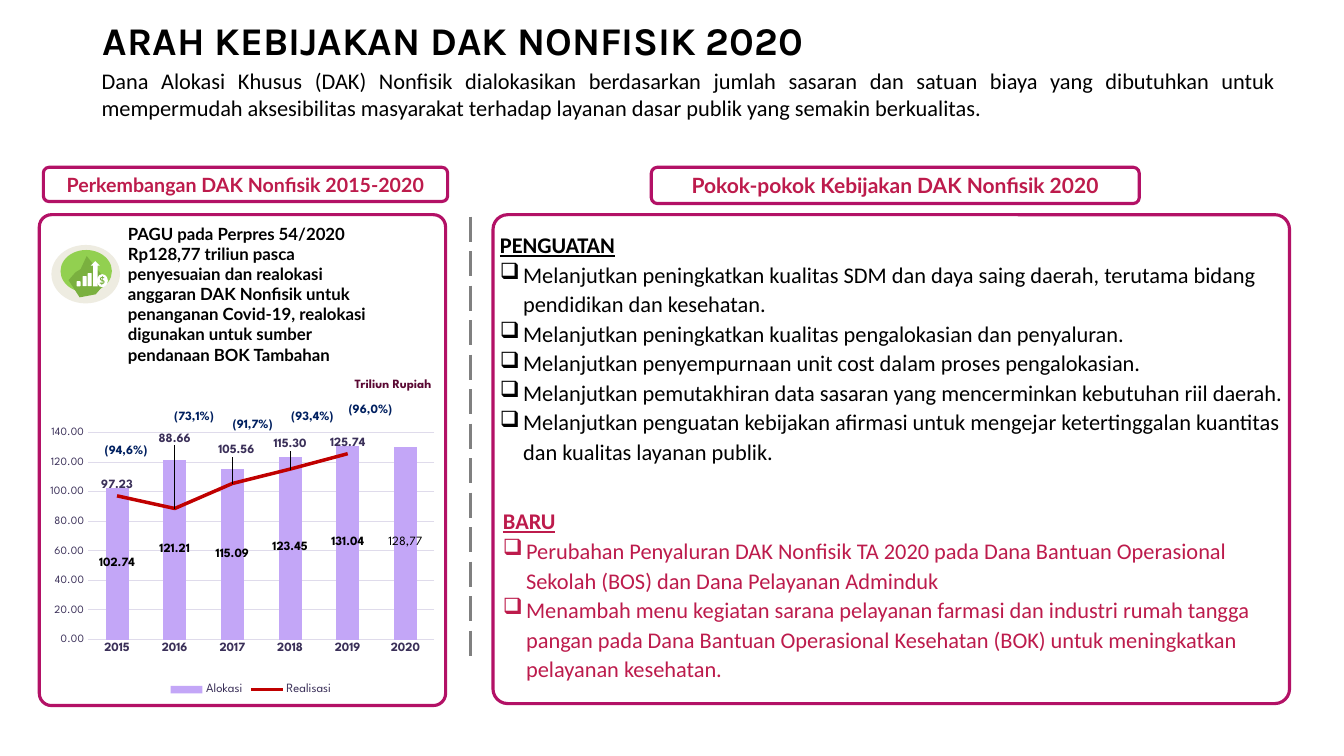
from pptx import Presentation
from pptx.chart.data import CategoryChartData
from pptx.dml.color import RGBColor
from pptx.enum.chart import XL_CHART_TYPE, XL_LABEL_POSITION, XL_LEGEND_POSITION, XL_TICK_MARK
from pptx.enum.dml import MSO_LINE
from pptx.enum.shapes import MSO_CONNECTOR, MSO_SHAPE
from pptx.enum.text import MSO_ANCHOR, PP_ALIGN
from pptx.oxml import parse_xml
from pptx.oxml.ns import nsdecls, qn
from pptx.util import Inches, Pt
from lxml import etree

BLACK = RGBColor(0x00, 0x00, 0x00)
WHITE = RGBColor(0xFF, 0xFF, 0xFF)
CRIMSON = RGBColor(0xBD, 0x1B, 0x4C)
MAGENTA = RGBColor(0xB3, 0x11, 0x66)
GRAY = RGBColor(0x80, 0x80, 0x80)
CREAM = RGBColor(0xEE, 0xEC, 0xE1)
GREEN = RGBColor(0x92, 0xD0, 0x50)
DARK_GREEN = RGBColor(0x7A, 0xB0, 0x3F)
WINE = RGBColor(0x5A, 0x08, 0x33)
NAVY = RGBColor(0x00, 0x20, 0x60)
INDIGO = RGBColor(0x3B, 0x30, 0x59)
LAVENDER = RGBColor(0xC3, 0xA6, 0xF7)
GRID = RGBColor(0xDF, 0xDB, 0xEB)
RED = RGBColor(0xC0, 0x00, 0x00)
MIDDLE, TOP = MSO_ANCHOR.MIDDLE, MSO_ANCHOR.TOP
LEFT, CENTER, JUSTIFY = PP_ALIGN.LEFT, PP_ALIGN.CENTER, PP_ALIGN.JUSTIFY
ROUNDED, OVAL = MSO_SHAPE.ROUNDED_RECTANGLE, MSO_SHAPE.OVAL
CHART_FONT = "League Spartan"


def write(shape, text, name, size, color, bold=True, align=LEFT, anchor=TOP, wrap=True, insets=(0.1, 0.05)):
    frame = shape.text_frame
    margin_x, margin_y = (Inches(inset) for inset in insets)
    settings = {"word_wrap": wrap, "vertical_anchor": anchor, "margin_left": margin_x,
                "margin_right": margin_x, "margin_top": margin_y, "margin_bottom": margin_y}
    for key, value in settings.items():
        setattr(frame, key, value)
    paragraph = frame.paragraphs[0]
    paragraph.text = text
    paragraph.alignment = align
    for key, value in {"name": name, "size": Pt(size), "bold": bold}.items():
        setattr(paragraph.font, key, value)
    paragraph.font.color.rgb = color
    return paragraph


def add_block(kind, place, fill=None, line=None):
    shape = slide.shapes.add_shape(kind, *map(Inches, place))
    shape.shadow.inherit = False
    if fill is None:
        shape.fill.background()
    else:
        shape.fill.solid()
        shape.fill.fore_color.rgb = fill
    if line is None:
        shape.line.fill.background()
    else:
        shape.line.color.rgb = line
        shape.line.width = Pt(2.25)
    return shape


presentation = Presentation()
presentation.slide_width = Inches(13.33)
presentation.slide_height = Inches(7.5)
slide = presentation.slides.add_slide(presentation.slide_layouts[5])

title = slide.shapes.title
title.left, title.top, title.width, title.height = map(Inches, (0.95, 0.1, 12.65, 0.65))
write(title, "ARAH KEBIJAKAN DAK NONFISIK 2020", "Karla", 28, BLACK, anchor=MIDDLE,
      insets=(0.07, 0.04)).line_spacing = 0.9

intro = slide.shapes.add_textbox(*map(Inches, (0.91, 0.62, 11.84, 0.64)))
write(intro, "Dana Alokasi Khusus (DAK) Nonfisik dialokasikan berdasarkan jumlah sasaran dan satuan biaya "
      "yang dibutuhkan untuk mempermudah aksesibilitas masyarakat terhadap layanan dasar publik yang "
      "semakin berkualitas.", "Calibri", 16, BLACK, bold=False, align=JUSTIFY)

divider = slide.shapes.add_connector(MSO_CONNECTOR.STRAIGHT, *map(Inches, (4.67, 2.15, 4.67, 6.55)))
divider.line.color.rgb = GRAY
divider.line.width = Pt(2.25)
divider.line.dash_style = MSO_LINE.LONG_DASH
etree.SubElement(divider._element.spPr, qn("a:effectLst"))

for place, radius in [((0.39, 2.13, 4.03, 4.87), 0.03), ((4.89, 2.13, 7.9, 4.85), 0.03)]:
    add_block(ROUNDED, place, line=MAGENTA).adjustments[0] = radius

headers = [((0.43, 1.66, 4.01, 0.34), "Perkembangan DAK Nonfisik 2015-2020", 14),
           ((6.46, 1.66, 4.84, 0.36), "Pokok-pokok Kebijakan DAK Nonfisik 2020", 15)]
for place, text, size in headers:
    header = add_block(ROUNDED, place, WHITE, MAGENTA)
    write(header, text, "Lato", size, CRIMSON, align=CENTER, anchor=MIDDLE, insets=(0.07, 0.04))

policies = [
    ((4.86, 2.22, 8.15, 2.47), BLACK, "PENGUATAN", [
        "Melanjutkan peningkatkan kualitas SDM dan daya saing daerah, terutama bidang pendidikan dan kesehatan.",
        "Melanjutkan peningkatkan kualitas pengalokasian dan penyaluran.",
        "Melanjutkan penyempurnaan unit cost dalam proses pengalokasian.",
        "Melanjutkan pemutakhiran data sasaran yang mencerminkan kebutuhan riil daerah.",
        "Melanjutkan penguatan kebijakan afirmasi untuk mengejar ketertinggalan kuantitas dan kualitas "
        "layanan publik."]),
    ((4.89, 4.96, 8.09, 1.88), CRIMSON, "BARU", [
        "Perubahan Penyaluran DAK Nonfisik TA 2020 pada Dana Bantuan Operasional Sekolah (BOS) dan Dana "
        "Pelayanan Adminduk",
        "Menambah menu kegiatan sarana pelayanan farmasi dan industri rumah tangga pangan pada Dana Bantuan "
        "Operasional Kesehatan (BOK) untuk meningkatkan pelayanan kesehatan."])]
for place, color, heading, items in policies:
    policy = slide.shapes.add_textbox(*map(Inches, place))
    paragraph = write(policy, heading, "Calibri", 16, color)
    paragraph.font.underline = True
    paragraph.line_spacing = 1.1
    for item in items:
        paragraph = policy.text_frame.add_paragraph()
        paragraph.text = item
        paragraph.line_spacing = 1.1
        properties = paragraph._p.get_or_add_pPr()
        properties.set("marL", str(Inches(0.23)))
        properties.set("indent", str(-Inches(0.23)))
        etree.SubElement(properties, qn("a:buChar")).set("char", "❑")
        for key, value in {"name": "Calibri", "size": Pt(16)}.items():
            setattr(paragraph.font, key, value)
        paragraph.font.color.rgb = color

add_block(OVAL, (0.51, 2.43, 0.68, 0.58), CREAM)
add_block(OVAL, (0.6, 2.48, 0.51, 0.42), GREEN)
builder = slide.shapes.build_freeform(Inches(0.86), Inches(2.54))
mountain_points = [(1.06, 2.79), (0.95, 2.92), (0.79, 2.95), (0.68, 2.78), (0.75, 2.7), (0.8, 2.67)]
builder.add_line_segments([(Inches(x), Inches(y)) for x, y in mountain_points])
mountain = builder.convert_to_shape()
mountain.shadow.inherit = False
mountain.fill.solid()
mountain.fill.fore_color.rgb = DARK_GREEN
mountain.line.fill.background()
for left, height in [(0.76, 0.05), (0.82, 0.1), (0.87, 0.13)]:
    add_block(ROUNDED, (left, 2.84 - height, 0.04, height), WHITE)
add_block(MSO_SHAPE.UP_ARROW, (0.9, 2.59, 0.09, 0.25), WHITE)
coin = add_block(OVAL, (0.96, 2.72, 0.11, 0.13), WHITE)
write(coin, "$", "Lato", 7, DARK_GREEN, align=CENTER, anchor=MIDDLE, wrap=False, insets=(0, 0))

ceiling = slide.shapes.add_textbox(*map(Inches, (1.17, 2.71, 2.8, 0.41)))
write(ceiling, "PAGU pada Perpres 54/2020 Rp128,77 triliun pasca penyesuaian dan realokasi anggaran DAK "
      "Nonfisik untuk penanganan Covid-19, realokasi digunakan untuk sumber pendanaan BOK Tambahan",
      "Lato", 12, BLACK, anchor=MIDDLE)

data = CategoryChartData(number_format="0.00")
data.categories = ["2015", "2016", "2017", "2018", "2019", "2020"]
data.add_series("Alokasi", [102.74, 121.21, 115.09, 123.45, 131.04, 130.57])
data.add_series("Realisasi", [97.23, 88.66, 105.56, 115.30, 125.74, None])
chart = slide.shapes.add_chart(XL_CHART_TYPE.COLUMN_CLUSTERED, *map(Inches, (0.5, 4.15, 3.97, 2.79)), data).chart
chart.has_title = False
chart.has_legend = True
chart.legend.position = XL_LEGEND_POSITION.BOTTOM
chart.legend.include_in_layout = False
chart.plots[0].gap_width = 150
chart.plots[0].vary_by_categories = False

bar_chart = chart._chartSpace.xpath("//c:barChart")[0]
line_series = bar_chart.findall(qn("c:ser"))[1]
for element in line_series.findall(qn("c:invertIfNegative")):
    line_series.remove(element)
line_chart = parse_xml(f'<c:lineChart {nsdecls("c")}><c:grouping val="standard"/><c:varyColors val="0"/></c:lineChart>')
line_chart.append(line_series)
etree.SubElement(line_chart, qn("c:marker")).set("val", "1")
for axis_id in bar_chart.findall(qn("c:axId")):
    etree.SubElement(line_chart, qn("c:axId")).set("val", axis_id.get("val"))
bar_chart.addnext(line_chart)

plot_area = bar_chart.getparent()
for element in plot_area.findall(qn("c:layout")):
    plot_area.remove(element)
plot_area.insert(0, parse_xml(
    f'<c:layout {nsdecls("c")}><c:manualLayout><c:layoutTarget val="inner"/><c:xMode val="edge"/>'
    '<c:yMode val="edge"/><c:x val="0.093"/><c:y val="0.051"/><c:w val="0.866"/><c:h val="0.736"/>'
    '</c:manualLayout></c:layout>'))

allocation, realization = (plot.series[0] for plot in chart.plots)
allocation.format.fill.solid()
allocation.format.fill.fore_color.rgb = LAVENDER
realization.smooth = False
realization.format.line.color.rgb = RED
realization.format.line.width = Pt(2.5)
realization.marker.style = None
etree.SubElement(realization._element.find(qn("c:marker")), qn("c:symbol")).set("val", "none")

labels = [(allocation.data_labels, XL_LABEL_POSITION.CENTER, BLACK),
          (realization.data_labels, XL_LABEL_POSITION.ABOVE, INDIGO)]
label_fonts = [(chart.font, 9, False, BLACK), (chart.legend.font, 9, False, INDIGO),
               (chart.category_axis.tick_labels.font, 9, True, INDIGO),
               (chart.value_axis.tick_labels.font, 8, False, INDIGO)]
for label, position, color in labels:
    for key, value in {"show_value": True, "position": position, "number_format": "0.00",
                       "number_format_is_linked": False}.items():
        setattr(label, key, value)
    label_fonts.append((label.font, 9, True, color))
for index, shift_x, shift_y in [(1, 0, -0.21), (2, 0.01, -0.08), (3, 0, -0.05)]:
    label = realization.points[index].data_label
    label.position = XL_LABEL_POSITION.ABOVE
    label_fonts.append((label.font, 9, True, INDIGO))
    realization._element.xpath(f"c:dLbls/c:dLbl[c:idx/@val='{index}']/c:idx")[0].addnext(parse_xml(
        f'<c:layout {nsdecls("c")}><c:manualLayout><c:x val="{shift_x}"/><c:y val="{shift_y}"/>'
        '</c:manualLayout></c:layout>'))
final_label = allocation.points[5].data_label
final_label.text_frame.text = "128,77"
final_label.position = XL_LABEL_POSITION.CENTER
label_fonts.append((final_label.text_frame.paragraphs[0].runs[0].font, 9, False, BLACK))
for font, size, bold, color in label_fonts:
    for key, value in {"name": CHART_FONT, "size": Pt(size), "bold": bold}.items():
        setattr(font, key, value)
    font.color.rgb = color

for axis in (chart.category_axis, chart.value_axis):
    axis.major_tick_mark = axis.minor_tick_mark = XL_TICK_MARK.NONE
value_axis = chart.value_axis
for key, value in {"minimum_scale": 0, "maximum_scale": 140, "major_unit": 20}.items():
    setattr(value_axis, key, value)
value_axis.tick_labels.number_format = "0.00"
value_axis.tick_labels.number_format_is_linked = False
value_axis.format.line.fill.background()
for line in (chart.category_axis.format.line, value_axis.major_gridlines.format.line):
    line.color.rgb = GRID
    line.width = Pt(0.75)

notes = [("Triliun Rupiah", 3.42, 3.68, 1, WINE), ("(94,6%)", 0.94, 4.33, 0.66, NAVY),
         ("(73,1%)", 1.63, 4, 0.63, NAVY), ("(91,7%)", 2.21, 4.08, 0.63, NAVY),
         ("(93,4%)", 2.79, 4, 0.63, NAVY), ("(96,0%)", 3.36, 3.93, 0.63, NAVY)]
for text, left, top, width, color in notes:
    note = slide.shapes.add_textbox(*map(Inches, (left, top, width, 0.25)))
    write(note, text, CHART_FONT, 9, color, wrap=False)

presentation.save("out.pptx")
